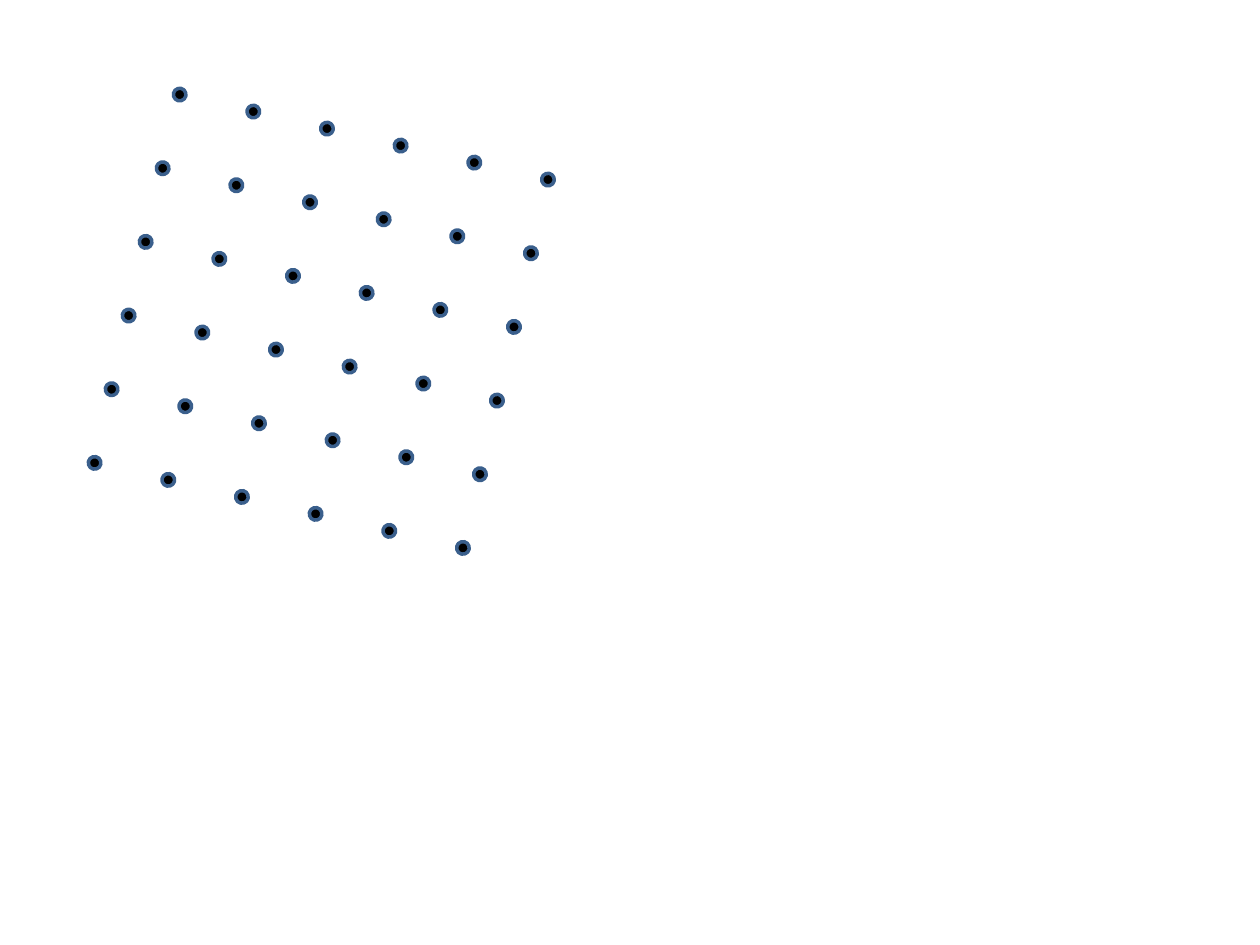
"""Build a slide with a square lattice of dots, turned as one group."""
from itertools import product

from pptx import Presentation
from pptx.dml.color import RGBColor
from pptx.enum import shapes
from pptx.util import Pt

SLIDE_SIZE = (720, 540)
LATTICE = {"origin": 72, "count": 6, "pitch": 43.2, "tilt": 13}
DOT = {"diameter": 7.2, "fill": "000000", "line": "3A5F8C", "line_width": 2}


def color(hex_code):
    return RGBColor.from_string(hex_code)


def add_dot(lattice, left, top):
    size = Pt(DOT["diameter"])
    dot = lattice.shapes.add_shape(
        shapes.MSO_SHAPE.OVAL, Pt(left), Pt(top), size, size)
    dot.shadow.inherit = False
    dot.fill.solid()
    dot.fill.fore_color.rgb = color(DOT["fill"])
    dot.line.color.rgb = color(DOT["line"])
    dot.line.width = Pt(DOT["line_width"])


def main():
    deck = Presentation()
    deck.slide_width, deck.slide_height = map(Pt, SLIDE_SIZE)
    slide = deck.slides.add_slide(deck.slide_layouts[6])
    lattice = slide.shapes.add_group_shape()
    for row, column in product(range(LATTICE["count"]), repeat=2):
        add_dot(lattice,
                LATTICE["origin"] + column * LATTICE["pitch"],
                LATTICE["origin"] + row * LATTICE["pitch"])
    lattice.rotation = LATTICE["tilt"]
    deck.save("out.pptx")


if __name__ == "__main__":
    main()
